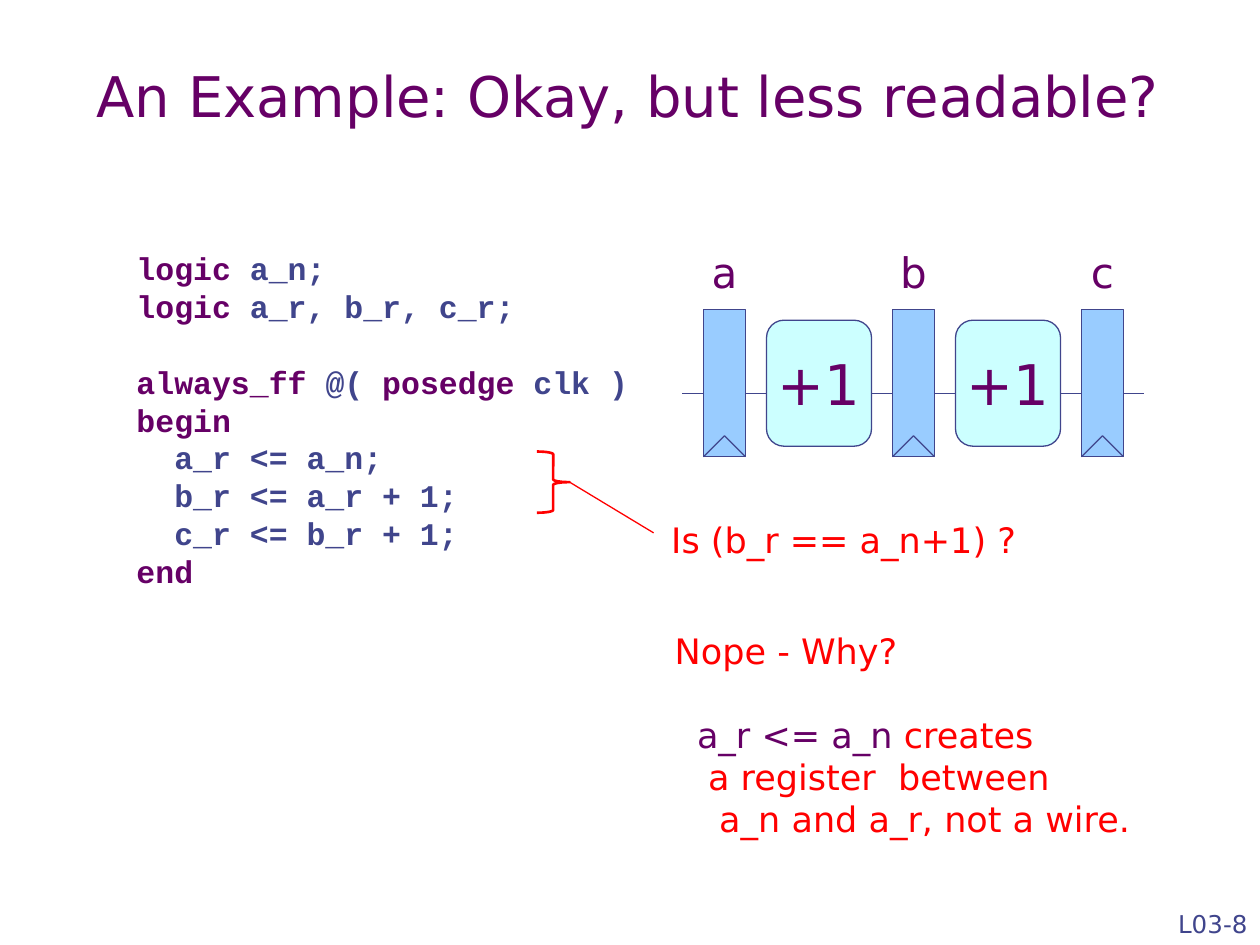
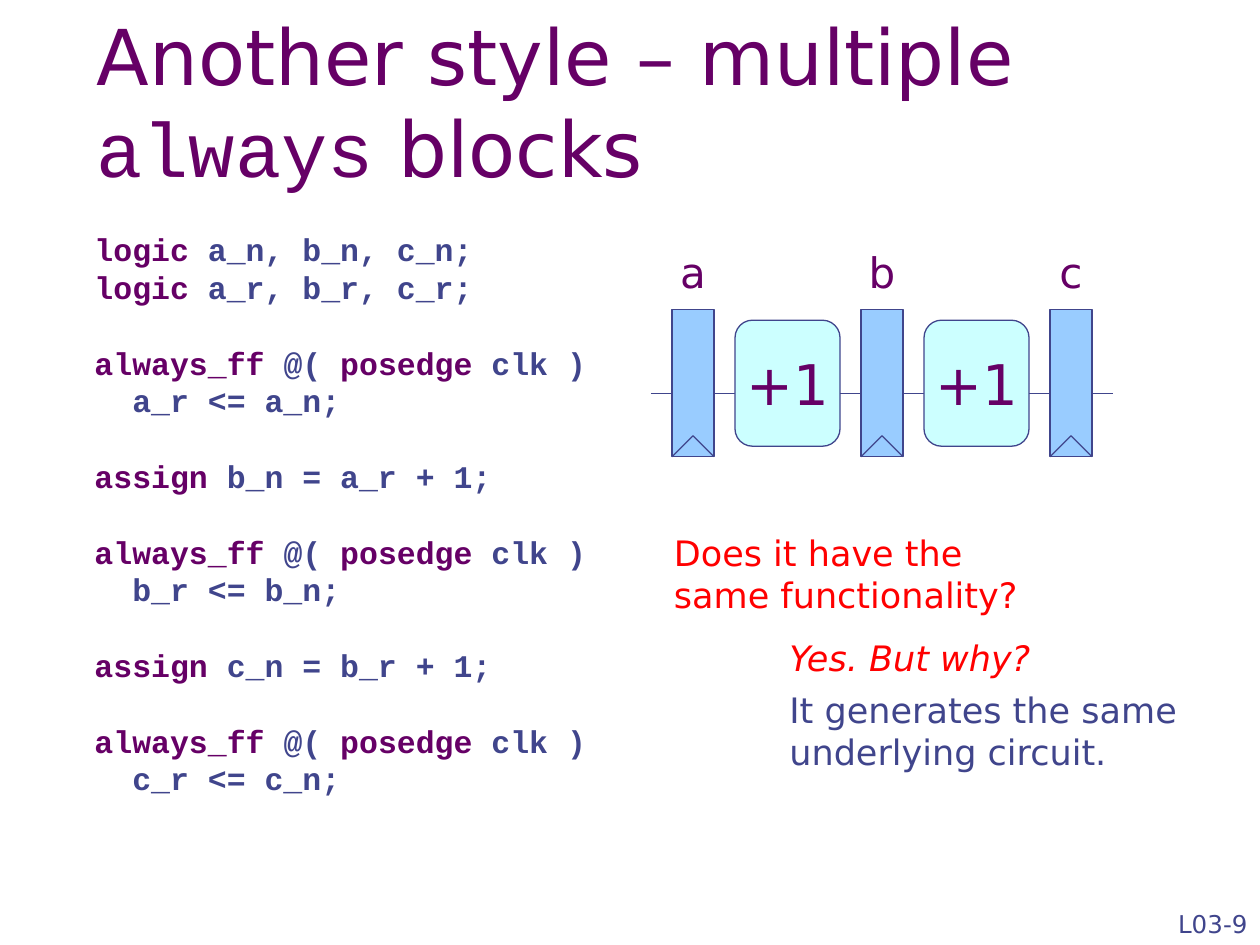
"""Build two slides on register pipelines and their SystemVerilog code."""
import itertools

import pptx
import pptx.dml.color
import pptx.enum.shapes
import pptx.enum.text
import pptx.oxml
import pptx.util

Pt = pptx.util.Pt
SHAPE = pptx.enum.shapes.MSO_SHAPE
ALIGN = pptx.enum.text.PP_ALIGN
ANCHOR = pptx.enum.text.MSO_ANCHOR
AUTO_SIZE = pptx.enum.text.MSO_AUTO_SIZE

PURPLE, INDIGO, RED = "660066", "40458C", "FF0000"
REGISTER_BLUE, LOGIC_CYAN = "99CCFF", "CCFFFF"
SANS, MONO = "DejaVu Sans", "Courier New"
KEYWORDS = {"logic", "always_ff", "posedge", "begin", "end", "assign"}
LINE_HEIGHT = 1.2
SPACE_WIDTH = 6.36

READABLE_CODE = """logic a_n;
logic a_r, b_r, c_r;

always_ff @( posedge clk )
begin
  a_r <= a_n;
  b_r <= a_r + 1;
  c_r <= b_r + 1;
end"""

MULTIPLE_BLOCKS_CODE = """logic a_n, b_n, c_n;
logic a_r, b_r, c_r;

always_ff @( posedge clk )
  a_r <= a_n;

assign b_n = a_r + 1;

always_ff @( posedge clk )
  b_r <= b_n;

assign c_n = b_r + 1;

always_ff @( posedge clk )
  c_r <= c_n;"""


def color(hex_string):
    return pptx.dml.color.RGBColor.from_string(hex_string)


def set_attributes(target, values):
    for name, value in values.items():
        setattr(target, name, value)


class Deck:
    def __init__(self):
        self.presentation = pptx.Presentation()
        set_attributes(self.presentation, {"slide_width": Pt(720), "slide_height": Pt(540)})
        self.slide = None

    def start_slide(self, number):
        self.slide = self.presentation.slides.add_slide(self.presentation.slide_layouts[5])
        self.text((570, 504, 150, 36), [[(f"L03-{number}", INDIGO)]], 14,
                  anchor=ANCHOR.BOTTOM, align=ALIGN.RIGHT)

    def frame(self, shape, anchor, wrap=True, inset=(7.2, 3.6)):
        horizontal, vertical = map(Pt, inset)
        set_attributes(shape.text_frame, {
            "word_wrap": wrap, "auto_size": AUTO_SIZE.NONE, "vertical_anchor": anchor,
            "margin_left": horizontal, "margin_right": horizontal,
            "margin_top": vertical, "margin_bottom": vertical})
        return shape.text_frame

    def paragraph(self, paragraph, runs, size, align=ALIGN.LEFT, before=0, indent=0, **font):
        set_attributes(paragraph, {"alignment": align, "space_before": Pt(before),
                                   "line_spacing": Pt(size * LINE_HEIGHT)})
        if indent:
            paragraph._p.get_or_add_pPr().set("marL", str(Pt(indent)))
        for words, hex_color, *typeface in runs:
            run = paragraph.add_run()
            run.text = words
            values = {"name": SANS, "size": Pt(size), **font}
            if typeface:
                values["name"] = typeface[0]
            set_attributes(run.font, values)
            run.font.color.rgb = color(hex_color)

    def title(self, box, runs, size):
        title = self.slide.shapes.title
        set_attributes(title, dict(zip(("left", "top", "width", "height"), map(Pt, box))))
        frame = self.frame(title, ANCHOR.BOTTOM)
        self.paragraph(frame.paragraphs[0], runs, size)

    def text(self, box, paragraphs, size, anchor=ANCHOR.TOP, wrap=True, inset=(7.2, 3.6),
             befores=(), indents=(), **style):
        shape = self.slide.shapes.add_textbox(*map(Pt, box))
        frame = self.frame(shape, anchor, wrap, inset)
        rows = itertools.zip_longest(paragraphs, befores, indents, fillvalue=0)
        for index, (runs, before, indent) in enumerate(rows):
            paragraph = frame.add_paragraph() if index else frame.paragraphs[0]
            self.paragraph(paragraph, runs, size, before=before, indent=indent, **style)

    def code(self, box, source):
        paragraphs, befores, gap = [], [], 0
        for line in source.split("\n"):
            if not line:
                gap = 18 * LINE_HEIGHT
                continue
            first, *rest = line.split(" ")
            words = [first] + [" " + word for word in rest]
            groups = itertools.groupby(words, lambda word: word.strip() in KEYWORDS)
            paragraphs.append([("".join(group), PURPLE if keyword else INDIGO)
                               for keyword, group in groups])
            befores.append(gap)
            gap = 0
        self.text(box, paragraphs, 18, inset=(12, 12), befores=befores, name=MONO, bold=True)

    def shape(self, kind, box, fill, line=INDIGO, weight=0.75):
        shape = self.slide.shapes.add_shape(kind, *map(Pt, box))
        shape.shadow.inherit = False
        if fill:
            shape.fill.solid()
            shape.fill.fore_color.rgb = color(fill)
        else:
            shape.fill.background()
        shape.line.color.rgb = color(line)
        shape.line.width = Pt(weight)
        return shape

    def line(self, start, end, hex_color=INDIGO):
        connector = self.slide.shapes.add_connector(
            pptx.enum.shapes.MSO_CONNECTOR.STRAIGHT, *map(Pt, start + end))
        connector.line.color.rgb = color(hex_color)
        connector.line.width = Pt(0.75)
        connector._element.spPr.append(pptx.oxml.parse_xml(
            '<a:effectLst xmlns:a="http://schemas.openxmlformats.org/drawingml/2006/main"/>'))

    def register(self, left, name):
        middle, right, bottom = left + 12, left + 24, 261
        self.shape(SHAPE.RECTANGLE, (left, 177, 24, 84), REGISTER_BLUE)
        self.line((left, bottom), (middle, bottom - 12))
        self.line((middle, bottom - 12), (right, bottom))
        self.line((left - 12, 225), (left, 225))
        self.line((right, 225), (right + 12, 225))
        self.text((middle - 14, 137.5, 28, 36), [[(name, PURPLE)]], 24,
                  wrap=False, align=ALIGN.CENTER)

    def incrementer(self, left):
        box = self.shape(SHAPE.ROUNDED_RECTANGLE, (left, 183, 60, 72), LOGIC_CYAN)
        frame = self.frame(box, ANCHOR.MIDDLE, wrap=False)
        self.paragraph(frame.paragraphs[0], [("+1", PURPLE)], 32, ALIGN.CENTER)

    def pipeline(self, left, names="abc", pitch=108):
        for index, name in enumerate(names):
            register_left = left + index * pitch
            self.register(register_left, name)
            if index < len(names) - 1:
                self.incrementer(register_left + 36)


def readable_slide(deck):
    deck.start_slide(8)
    deck.code((66, 130.5, 339, 218), READABLE_CODE)
    deck.title((48, 24, 646.5, 53), [("An Example: Okay, but less readable?", PURPLE)], 32)
    deck.pipeline(402)
    deck.text((376.5, 292.5, 285, 31.5), [[("Is (b_r == a_n+1) ?", RED)]], 20)
    deck.text((378.5, 356, 332.5, 127.5),
              [[("Nope - Why?", RED)],
               [("a_r <= a_n ", PURPLE), ("creates", RED)],
               [("a register  between", RED)],
               [("a_n and a_r, not a wire.", RED)]], 20,
              befores=(0, 20 * LINE_HEIGHT),
              indents=[spaces * SPACE_WIDTH for spaces in (0, 2, 3, 4)])
    deck.shape(SHAPE.RIGHT_BRACE, (306.75, 258, 18.75, 35), None, RED, 1.5)
    deck.line((325.5, 275.5), (373.5, 304.5), RED)


def multiple_blocks_slide(deck):
    deck.start_slide(9)
    deck.title((48, 24, 612, 90),
               [("Another style – multiple ", PURPLE), ("always", PURPLE, MONO),
                (" blocks", PURPLE)], 44)
    deck.code((42, 119.5, 327, 348), MULTIPLE_BLOCKS_CODE)
    deck.pipeline(384)
    deck.text((378, 300, 240, 55.5), [[("Does it have the same functionality?", RED)]], 20)
    deck.text((444, 390, 240, 55.5),
              [[("It generates the same", INDIGO)], [("underlying circuit.", INDIGO)]], 20)
    deck.text((444, 360, 240, 31.5), [[("Yes. But why?", RED)]], 20, italic=True)


def main():
    deck = Deck()
    readable_slide(deck)
    multiple_blocks_slide(deck)
    deck.presentation.save("out.pptx")


if __name__ == "__main__":
    main()
